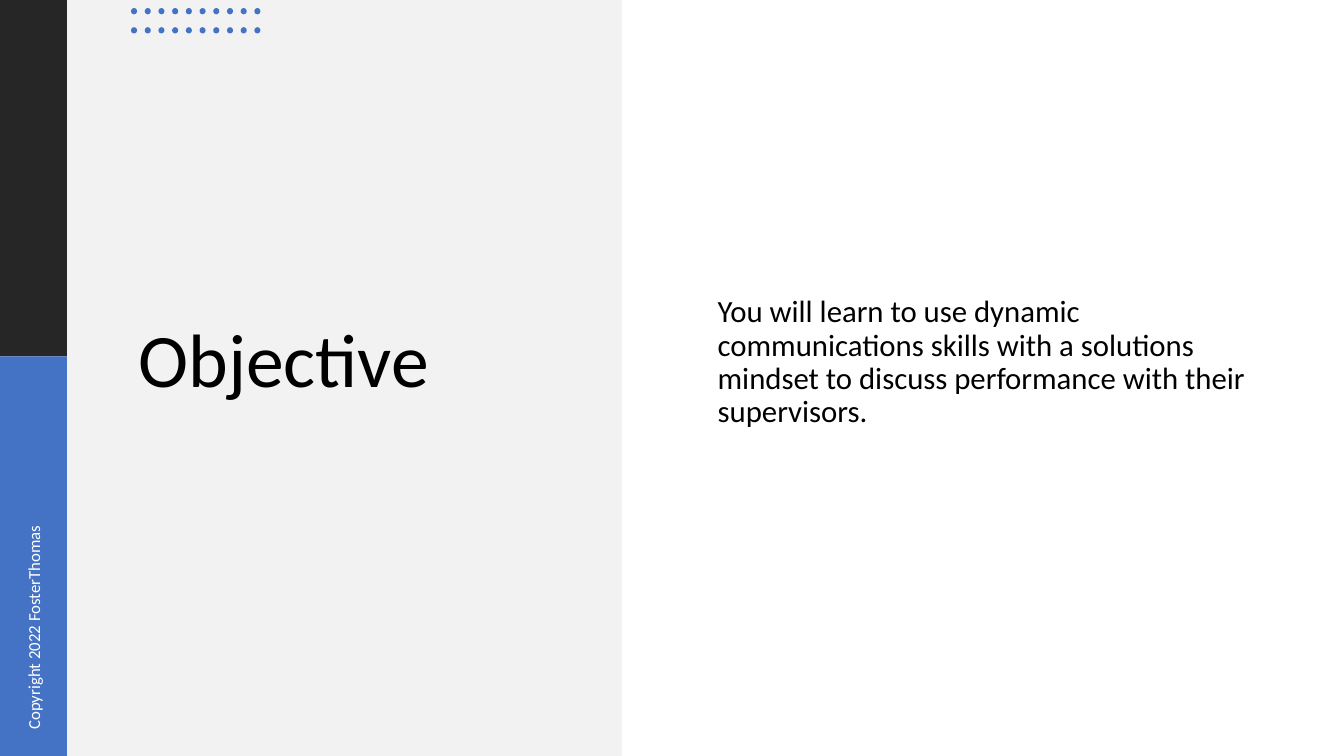
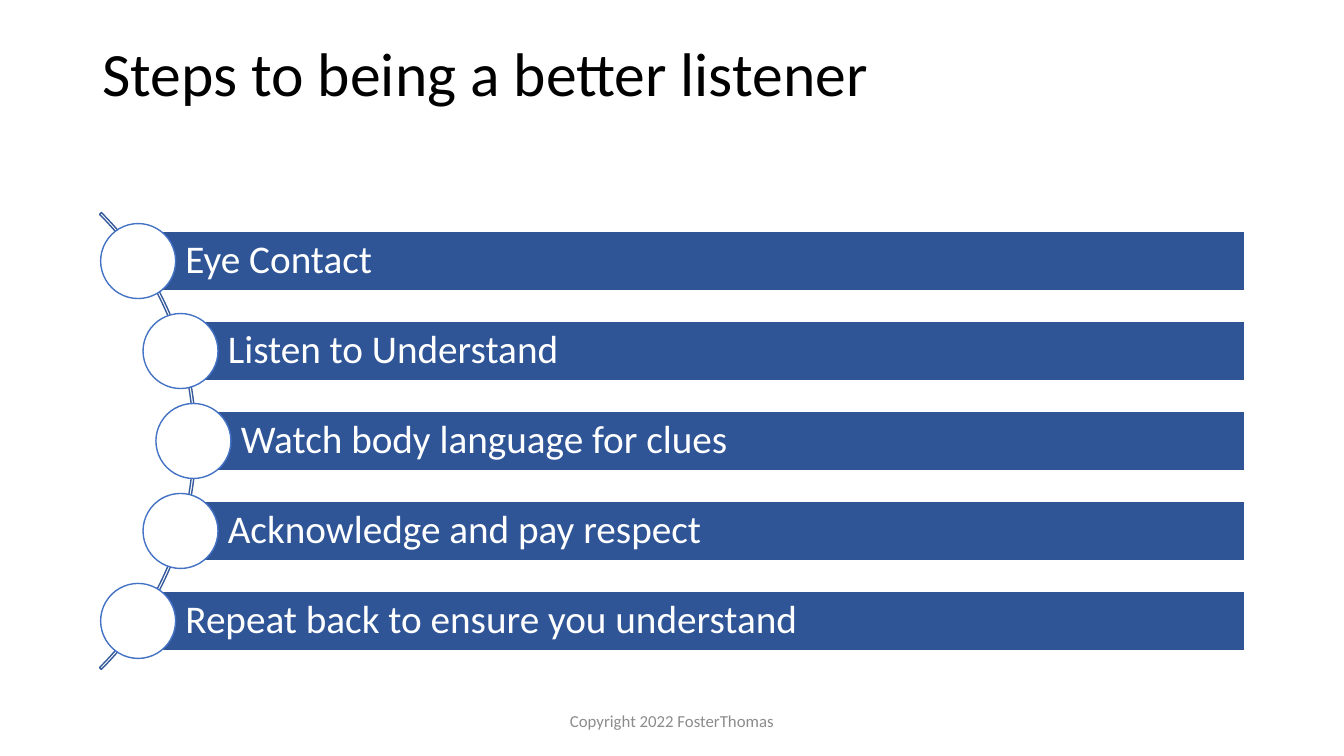
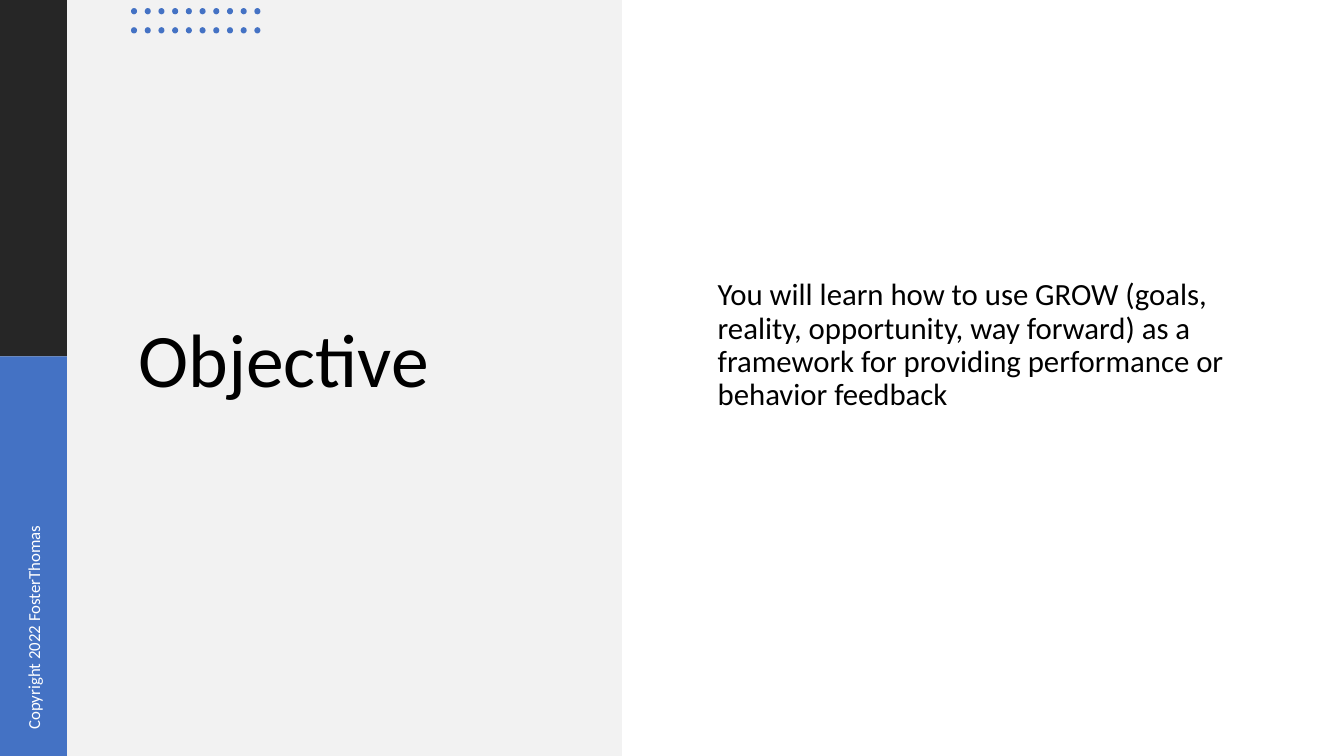
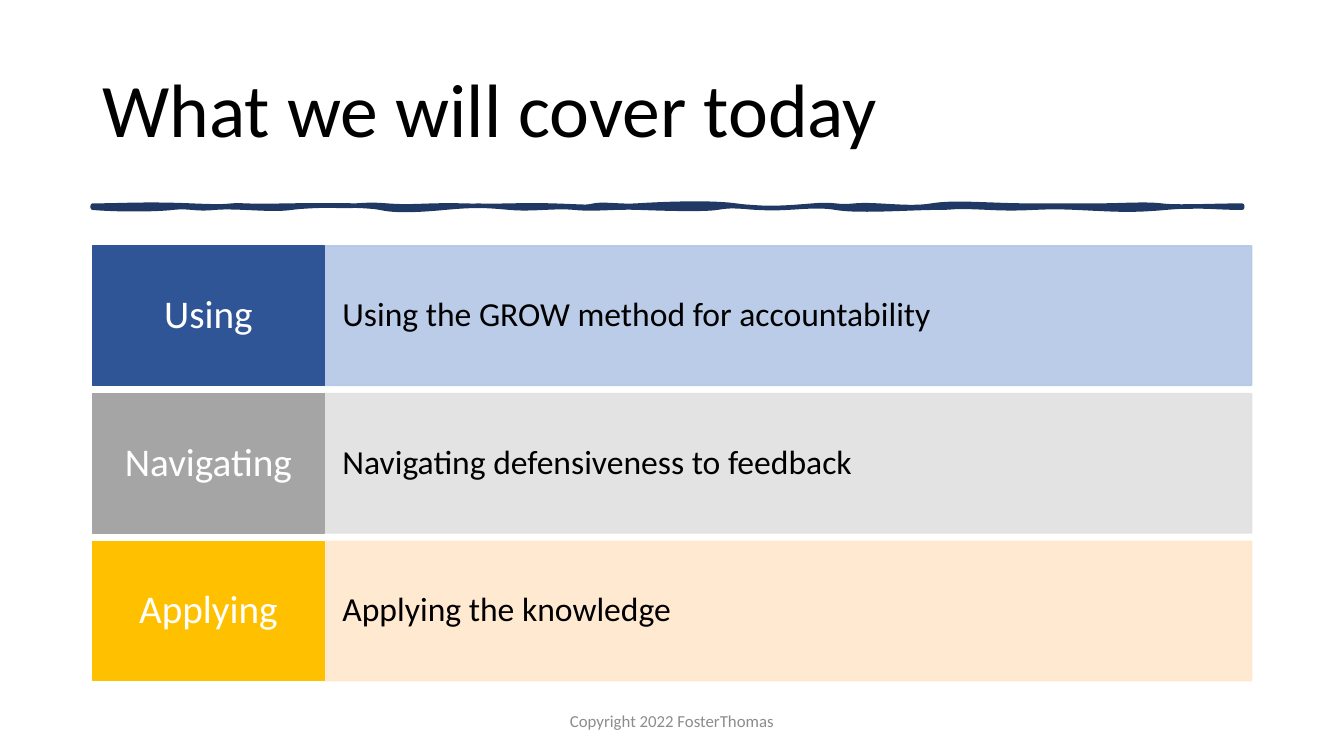
from dataclasses import dataclass
from math import sqrt
from typing import NamedTuple, Optional

from lxml.etree import SubElement
from pptx import Presentation
from pptx.dml.color import RGBColor
from pptx.enum.shapes import MSO_SHAPE
from pptx.enum.text import MSO_ANCHOR, MSO_AUTO_SIZE, PP_ALIGN
from pptx.oxml.ns import qn
from pptx.shapes.autoshape import Shape
from pptx.slide import Slide
from pptx.util import Inches, Pt

WIDE, HIGH = 13.33, 7.5


@dataclass(frozen=True)
class Theme:
    font: str = "Calibri"
    black: str = "000000"
    white: str = "FFFFFF"
    dark: str = "262626"
    pale: str = "F2F2F2"
    blue: str = "4472C4"
    deep: str = "2F5597"
    navy: str = "203864"
    arc: str = "365B9D"
    gray: str = "8C8C8C"
    huge: int = 54
    big: int = 44
    label: int = 28
    detail: int = 24
    body: int = 22
    small: int = 12


THEME = Theme()


class Box(NamedTuple):
    """Left, top, width and height in hundredths of the slide's width and height."""
    left: float
    top: float
    width: float
    height: float

    def place(self) -> tuple[int, int, int, int]:
        across, down = WIDE / 100, HIGH / 100
        return (Inches(self.left * across), Inches(self.top * down),
                Inches(self.width * across), Inches(self.height * down))


class Style(NamedTuple):
    size: int
    color: str
    align: PP_ALIGN = PP_ALIGN.LEFT
    space: float = 0.9
    pad: tuple[float, float] = (0.1, 0.05)
    anchor: MSO_ANCHOR = MSO_ANCHOR.MIDDLE


class Topic(NamedTuple):
    key: str
    text: str
    fill: str
    tint: str


class Curve(NamedTuple):
    """Cubic curve: two control points and the end; x in inches, y in 0.01 inch."""
    x1: float
    y1: int
    x2: float
    y2: int
    x: float


HEAD = Box(6.88, 5.33, 86.25, 19.33)
FOOT = Box(33.12, 92.67, 33.75, 5.33)
SIDE = Box(-7.75, 76.95, 20.48, 5.33)
PANELS = (
    (Box(0, 0, 5, 47.15), THEME.dark),
    (Box(0, 47.15, 5, 52.85), THEME.blue),
    (Box(5, 0, 41.28, 100), THEME.pale),
)
COPY = "Copyright 2022 FosterThomas"
STEPS = ("Eye Contact", "Listen to Understand", "Watch body language for clues",
         "Acknowledge and pay respect", "Repeat back to ensure you understand")
TOPICS = (
    Topic("Using", "Using the GROW method for accountability", THEME.deep, "B4C7E7"),
    Topic("Navigating", "Navigating defensiveness to feedback", "A5A5A5", "E1E1E1"),
    Topic("Applying", "Applying the knowledge", "FFC000", "FFE8CC"),
)
UPPER = (
    Curve(1.19, 0, 1.44, -2, 1.9), Curve(2.37, 2, 2.2, -1, 2.44),
    Curve(2.67, 1, 3.03, -1, 3.31), Curve(3.6, 1, 3.59, -2, 3.84),
    Curve(4.1, 2, 4.23, -1, 4.6), Curve(4.98, 1, 5.14, -1, 5.48),
    Curve(5.81, 1, 5.81, 2, 5.89), Curve(5.98, -2, 6.15, 1, 6.31),
    Curve(6.47, -1, 7.01, -4, 7.3), Curve(7.59, 4, 7.81, 2, 8.06),
    Curve(8.31, -2, 8.27, 2, 8.48), Curve(8.68, -2, 9.01, 4, 9.24),
    Curve(9.47, -4, 9.82, 0, 10.23), Curve(10.63, 0, 10.63, 0, 10.87),
    Curve(11.12, 0, 11.36, -2, 11.52), Curve(11.68, 2, 12.03, 0, 12.32),
)
LOWER = (
    Curve(12.05, 0, 11.89, -3, 11.56), Curve(11.22, 3, 11.1, 2, 10.68),
    Curve(10.27, -2, 10.23, 2, 9.81), Curve(9.39, -2, 9.52, 0, 9.28),
    Curve(9.04, 0, 8.51, 4, 8.29), Curve(8.06, -4, 7.82, 2, 7.53),
    Curve(7.24, -2, 7.25, -2, 7.11), Curve(6.98, 2, 6.61, 1, 6.35),
    Curve(6.09, -1, 5.9, 2, 5.7), Curve(5.51, -2, 5.28, 2, 5.06),
    Curve(4.83, -2, 4.73, -3, 4.41), Curve(4.09, 3, 3.9, 3, 3.77),
    Curve(3.63, -3, 3.1, -3, 2.89), Curve(2.68, 3, 2.35, -2, 2.13),
    Curve(1.92, 2, 1.89, -2, 1.71), Curve(1.54, 2, 1.14, 2, 0.92),
)


def rgb(color: str) -> RGBColor:
    return RGBColor.from_string(color)


def paint(shape: Shape, fill: Optional[str], line: Optional[str] = None,
          width: float = 1) -> None:
    shape.shadow.inherit = False
    if fill:
        shape.fill.solid()
        shape.fill.fore_color.rgb = rgb(fill)
    else:
        shape.fill.background()
    if line:
        shape.line.color.rgb = rgb(line)
        shape.line.width = Pt(width)
    else:
        shape.line.fill.background()


def draw(slide: Slide, kind: MSO_SHAPE, box: Box, fill: Optional[str],
         line: Optional[str] = None) -> Shape:
    shape = slide.shapes.add_shape(kind, *box.place())
    paint(shape, fill, line)
    return shape


def write(shape: Shape, text: str, style: Style) -> None:
    frame = shape.text_frame
    frame.text = text
    frame.word_wrap = True
    frame.auto_size = MSO_AUTO_SIZE.NONE
    frame.vertical_anchor = style.anchor
    frame.margin_left = frame.margin_right = Inches(style.pad[0])
    frame.margin_top = frame.margin_bottom = Inches(style.pad[1])
    par = frame.paragraphs[0]
    par.alignment = style.align
    par.line_spacing = style.space
    par.space_before = Pt(0)
    par.font.name = THEME.font
    par.font.size = Pt(style.size)
    par.font.color.rgb = rgb(style.color)


def fill_in(slide: Slide, index: int, box: Box, text: str, style: Style) -> Shape:
    """Place and fill a placeholder, and bring it in front of the shapes so far."""
    holder = slide.placeholders[index]
    holder.left, holder.top, holder.width, holder.height = box.place()
    slide.shapes.element.append(holder.element)
    write(holder, text, style)
    return holder


def foot(slide: Slide, box: Box, color: str, align: PP_ALIGN, turn: int = 0) -> None:
    label = slide.shapes.add_textbox(*box.place())
    label.rotation = turn
    write(label, COPY, Style(THEME.small, color, align, 1.0))


def goal(deck: Presentation, text: str, height: float) -> None:
    slide = deck.slides.add_slide(deck.slide_layouts[1])
    for box, color in PANELS:
        draw(slide, MSO_SHAPE.RECTANGLE, box, color)
    fill_in(slide, 0, Box(9.55, 19.47, 32.18, 57.2), "Objective",
            Style(THEME.huge, THEME.black))
    for col in range(10):
        for row in range(2):
            dot = Box(9.75 + 1.02 * col, 1.07 + 2.53 * row, 0.45, 0.83)
            draw(slide, MSO_SHAPE.OVAL, dot, THEME.blue)
    foot(slide, SIDE, THEME.white, PP_ALIGN.LEFT, 270)
    body = fill_in(slide, 1, Box(52.65, 7.33, 41.85, height), text,
                   Style(THEME.body, THEME.black))
    props = body.text_frame.paragraphs[0]._p.get_or_add_pPr()
    props.set("marL", "0")
    props.set("indent", "0")
    SubElement(props, qn("a:buNone"))


def page(deck: Presentation, title: str, style: Style) -> Slide:
    slide = deck.slides.add_slide(deck.slide_layouts[5])
    fill_in(slide, 0, HEAD, title, style)
    foot(slide, FOOT, THEME.gray, PP_ALIGN.CENTER)
    return slide


def steps(deck: Presentation) -> None:
    slide = page(deck, "Steps to being a better listener",
                 Style(THEME.big, THEME.black, pad=(0.1, 0.03), anchor=MSO_ANCHOR.TOP))
    bow = Box(-33.5, 15.6, 48.08, 85.47)
    arc = draw(slide, MSO_SHAPE.BLOCK_ARC, bow, None, THEME.arc)
    for spot, value in enumerate((189, 27, 0.004)):
        arc.adjustments[spot] = value
    hub, mid = bow.left + bow.width / 2, bow.top + bow.height / 2
    radius, pitch, right = 23.85, 11.9, 92.65
    for row, text in enumerate(STEPS):
        drop = (row - len(STEPS) // 2) * pitch
        left = hub + sqrt(radius ** 2 - (drop * HIGH / WIDE) ** 2)
        bar = draw(slide, MSO_SHAPE.RECTANGLE,
                   Box(left, mid + drop - 3.97, right - left, 7.94),
                   THEME.deep, THEME.white)
        write(bar, text, Style(THEME.label, THEME.white, pad=(0.47, 0.08)))
        draw(slide, MSO_SHAPE.OVAL,
             Box(left - 2.79, mid + drop - 4.96, 5.58, 9.92),
             THEME.white, THEME.blue)


def bend(line: object, curve: Curve, left: float, rise: float) -> None:
    """Turn a straight path segment into a curve with the same end."""
    end = line[0]
    line.tag = qn("a:cubicBezTo")
    for across, down in ((curve.x1, curve.y1), (curve.x2, curve.y2)):
        point = SubElement(line, qn("a:pt"))
        point.set("x", str(Inches(across - left)))
        point.set("y", str(Inches(rise + down / 100)))
    line.append(end)


def wave(slide: Slide) -> None:
    left, right, top, thick = 0.92, 12.32, 2.04, 0.02
    edge = [(Inches(curve.x), Inches(top)) for curve in UPPER]
    edge += [(Inches(x), Inches(top + thick))
             for x in (right, *(curve.x for curve in LOWER))]
    maker = slide.shapes.build_freeform(Inches(left), Inches(top))
    maker.add_line_segments(edge, close=True)
    rule = maker.convert_to_shape()
    paint(rule, THEME.navy, THEME.navy, 3.25)
    SubElement(rule.line._get_or_add_ln(), qn("a:round"))
    lines = list(rule.element.iter(qn("a:lnTo")))
    for line, curve in zip(lines, UPPER):
        bend(line, curve, left, 0)
    for line, curve in zip(lines[len(UPPER) + 1:], LOWER):
        bend(line, curve, left, thick)


def agenda(deck: Presentation) -> None:
    slide = page(deck, "What we will cover today", Style(THEME.huge, THEME.black))
    wave(slide)
    split, height, pitch = 17.25, 18.45, 19.53
    for row, topic in enumerate(TOPICS):
        top = 32.53 + row * pitch
        band = draw(slide, MSO_SHAPE.RECTANGLE,
                    Box(HEAD.left + split, top, HEAD.width - split, height),
                    topic.tint, topic.tint)
        for color in list(band.element.spPr.iter(qn("a:srgbClr"))):
            SubElement(color, qn("a:alpha")).set("val", "90000")
        write(band, topic.text, Style(THEME.detail, THEME.black, pad=(0.18, 0.35)))
        key = draw(slide, MSO_SHAPE.RECTANGLE, Box(HEAD.left, top, split, height),
                   topic.fill, topic.fill)
        write(key, topic.key, Style(THEME.label, THEME.white, PP_ALIGN.CENTER,
                                    pad=(0.12, 0.14)))


def main() -> None:
    deck = Presentation()
    deck.slide_width, deck.slide_height = Inches(WIDE), Inches(HIGH)
    goal(deck, "You will learn to use dynamic communications skills with a solutions "
               "mindset to discuss performance with their supervisors.", 81.33)
    steps(deck)
    goal(deck, "You will learn how to use GROW (goals, reality, opportunity, way forward) "
               "as a framework for providing performance or behavior feedback", 76.85)
    agenda(deck)
    deck.save("out.pptx")


if __name__ == "__main__":
    main()
